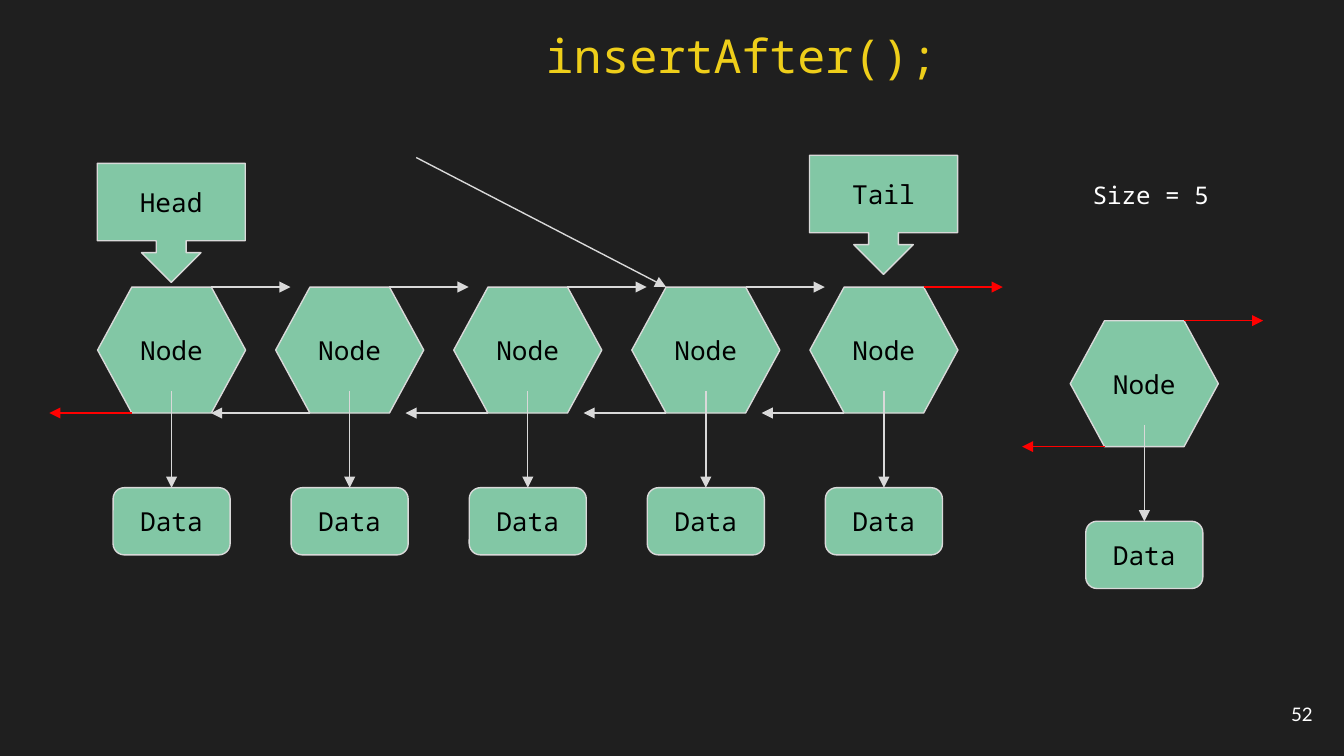
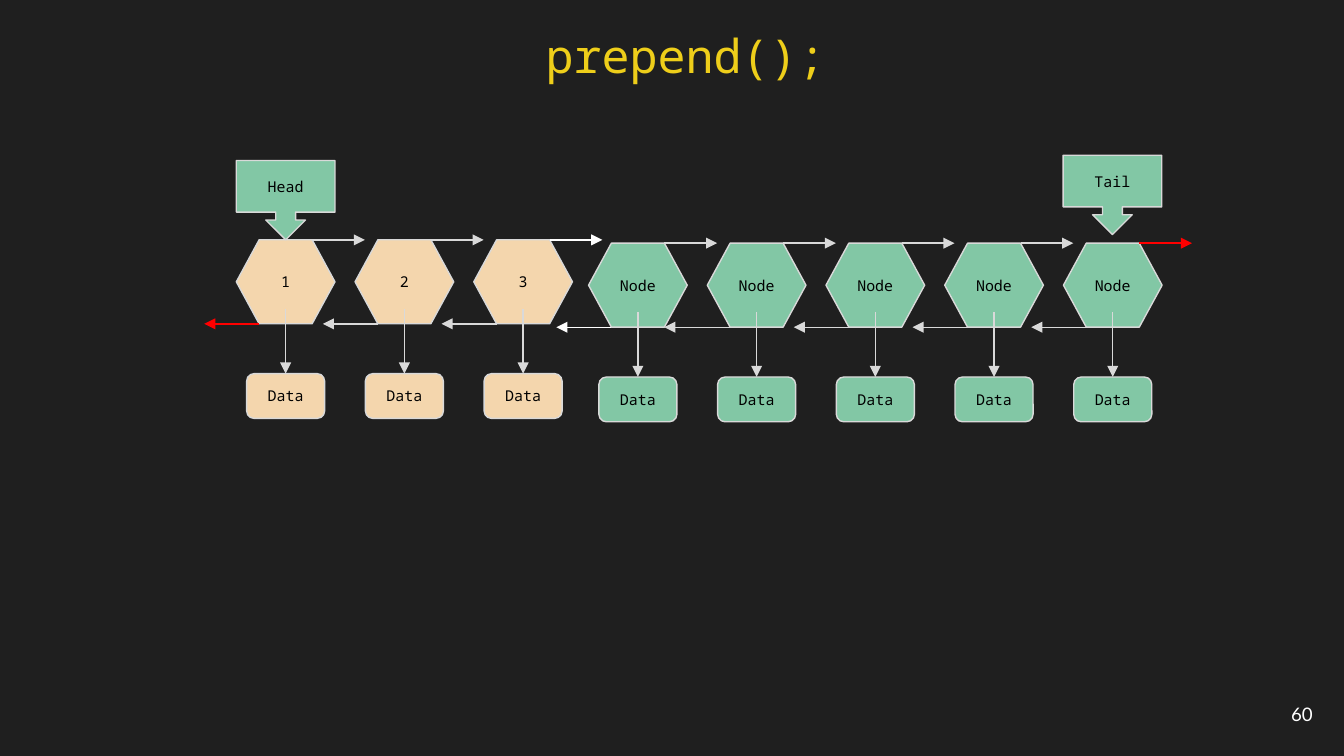
from dataclasses import dataclass

from lxml.etree import SubElement
from pptx import Presentation
from pptx.dml.color import RGBColor as Color
from pptx.enum.shapes import MSO_CONNECTOR as Connector, MSO_SHAPE as Preset
from pptx.enum.text import MSO_ANCHOR as Anchor, MSO_AUTO_SIZE as AutoSize, PP_ALIGN as Align
from pptx.oxml.ns import qn
from pptx.util import Pt


@dataclass(frozen=True)
class Theme:
    """Colours, fonts and type sizes shared by the slides."""
    background: str = "1F1F1F"
    title: str = "EECE1A"
    white: str = "FFFFFF"
    black: str = "000000"
    outline: str = "D9D9D9"
    null: str = "FF0000"
    green: str = "82C7A5"
    tan: str = "F4D6AD"
    mono: str = "Noto Sans Mono"
    sans: str = "Lato"
    title_size: float = 25
    size_note: float = 13
    number_size: float = 10
    large_label: float = 14
    small_label: float = 8
    line_width: float = 0.75
    inset: float = 7.2


@dataclass(frozen=True)
class NodeMetrics:
    """Full-scale measurements of a list node and its parts."""
    width: float = 79.3
    height: float = 67.5
    slant: float = 0.272
    pitch: float = 95.4
    next_reach: float = 42.4
    previous_reach: float = 44.2
    long_reach: float = 53
    data_start: float = 55.7
    data_top: float = 107.5
    data_width: float = 62.7
    data_height: float = 36
    callout_height: float = 63.8


THEME = Theme()
NODE = NodeMetrics()


def points(*values):
    """Turn plain numbers into point lengths."""
    return [Pt(value) for value in values]


def write_text(box, text, size, color, font=THEME.mono, align=Align.LEFT, anchor=Anchor.TOP):
    """Write one styled paragraph in a box."""
    frame = box.text_frame
    frame.word_wrap = True
    frame.vertical_anchor = anchor
    frame.margin_left = frame.margin_right = Pt(THEME.inset)
    frame.margin_top = frame.margin_bottom = Pt(THEME.inset)
    frame.text = text
    para = frame.paragraphs[0]
    para.alignment = align
    span = para.runs[0]
    span.font.name = font
    span.font.size = Pt(size)
    span.font.color.rgb = Color.from_string(color)


def add_label(page, text, place, size, color, **style):
    """Add a text box at the given place."""
    box = page.shapes.add_textbox(*points(*place))
    write_text(box, text, size, color, **style)
    return box


def add_block(shapes, preset, place, text, size, fill):
    """Add an outlined shape with a centred label."""
    block = shapes.add_shape(preset, *points(*place))
    block.shadow.inherit = False
    block.fill.solid()
    block.fill.fore_color.rgb = Color.from_string(fill)
    block.line.color.rgb = Color.from_string(THEME.outline)
    block.line.width = Pt(THEME.line_width)
    write_text(block, text, size, THEME.black, align=Align.CENTER, anchor=Anchor.MIDDLE)
    return block


def add_arrow(shapes, start, end, color=THEME.outline):
    """Add a straight arrow with a triangular head at its end."""
    arrow = shapes.add_connector(Connector.STRAIGHT, *points(*start, *end))
    arrow.line.color.rgb = Color.from_string(color)
    arrow.line.width = Pt(THEME.line_width)
    SubElement(arrow.line._get_or_add_ln(), qn("a:tailEnd"), type="triangle")
    SubElement(arrow._element.spPr, qn("a:effectLst"))


def add_node(shapes, left, top, scale, size, label, fill, previous_color, next_color,
             previous_reach=NODE.previous_reach):
    """Add a node with its two links and its data."""
    width, height = NODE.width * scale, NODE.height * scale
    slant, center, bottom = NODE.slant * height, left + width / 2, top + height
    hexagon = add_block(shapes, Preset.HEXAGON, (left, top, width, height), label, size, fill)
    hexagon.adjustments[0] = NODE.slant
    previous_x, next_x = left + slant, left + width - slant
    add_arrow(shapes, (previous_x, bottom),
              (previous_x - previous_reach * scale, bottom), previous_color)
    add_arrow(shapes, (next_x, top), (next_x + NODE.next_reach * scale, top), next_color)
    data_top, data_width = top + NODE.data_top * scale, NODE.data_width * scale
    add_arrow(shapes, (center, top + NODE.data_start * scale), (center, data_top))
    add_block(shapes, Preset.ROUNDED_RECTANGLE,
              (center - data_width / 2, data_top, data_width, NODE.data_height * scale),
              "Data", size, fill)


def add_chain(page, left, top, scale, size, labels, fill, first_color, last_color,
              second_reach=NODE.previous_reach):
    """Add a row of linked nodes whose outer links have their own colours."""
    last = len(labels) - 1
    for index, label in enumerate(labels):
        add_node(page.shapes, left + index * NODE.pitch * scale, top, scale, size, label, fill,
                 first_color if index == 0 else THEME.outline,
                 last_color if index == last else THEME.outline,
                 second_reach if index == 1 else NODE.previous_reach)


def add_callout(page, left, top, scale, size, text):
    """Add a callout that points down at a node."""
    place = (left, top, NODE.width * scale, NODE.callout_height * scale)
    callout = add_block(page.shapes, Preset.DOWN_ARROW_CALLOUT, place, text, size, THEME.green)
    for index, value in enumerate((0.25, 0.25, 0.25, 0.65)):
        callout.adjustments[index] = value


def add_page(deck, title, number):
    """Add a dark slide with its title and number."""
    page = deck.slides.add_slide(deck.slide_layouts[6])
    page.background.fill.solid()
    page.background.fill.fore_color.rgb = Color.from_string(THEME.background)
    add_label(page, title, (285.3, 7.2, 352.8, 49), THEME.title_size, THEME.title)
    add_label(page, number, (667.2, 367.2, 43.2, 31), THEME.number_size, THEME.white,
              font=THEME.sans, align=Align.RIGHT, anchor=Anchor.MIDDLE)
    return page


def build_insert_after(deck):
    """Build the slide that shows a node waiting to be inserted."""
    page = add_page(deck, "insertAfter();", "52")
    left, top, scale, size = 52.3, 153.8, 1, THEME.large_label
    group = page.shapes.add_group_shape()
    add_node(group.shapes, 573.4, 171.8, scale, size, "Node", THEME.green, THEME.null, THEME.null)
    add_chain(page, left, top, scale, size, ["Node"] * 5, THEME.green, THEME.null, THEME.null,
              NODE.long_reach)
    add_callout(page, left - 0.2, 87.5, scale, size, "Head")
    add_callout(page, left + 4 * NODE.pitch - 0.2, 83.2, scale, size, "Tail")
    note = add_label(page, "Size = 5", (578.3, 89.3, 132.5, 30.2), THEME.size_note, THEME.white)
    note.text_frame.auto_size = AutoSize.SHAPE_TO_FIT_TEXT
    target_x = left + 3 * NODE.pitch + NODE.slant * NODE.height
    add_arrow(page.shapes, (223, 84.4), (target_x, top))


def build_prepend(deck):
    """Build the slide that shows three nodes put before the list."""
    page = add_page(deck, "prepend();", "60")
    scale, size = 2 / 3, THEME.small_label
    list_left, new_left = 315.3, 126.6
    add_chain(page, list_left, 130.3, scale, size, ["Node"] * 5, THEME.green,
              THEME.white, THEME.null, NODE.long_reach)
    add_chain(page, new_left, 128.5, scale, size, ["1", "2", "3"], THEME.tan,
              THEME.null, THEME.white)
    add_callout(page, list_left + 4 * NODE.pitch * scale - 0.2, 83.2, scale, size, "Tail")
    add_callout(page, new_left, 86, scale, size, "Head")


def main():
    """Build and save the deck."""
    deck = Presentation()
    deck.slide_width, deck.slide_height = points(720, 405)
    build_insert_after(deck)
    build_prepend(deck)
    deck.save("out.pptx")


if __name__ == "__main__":
    main()
